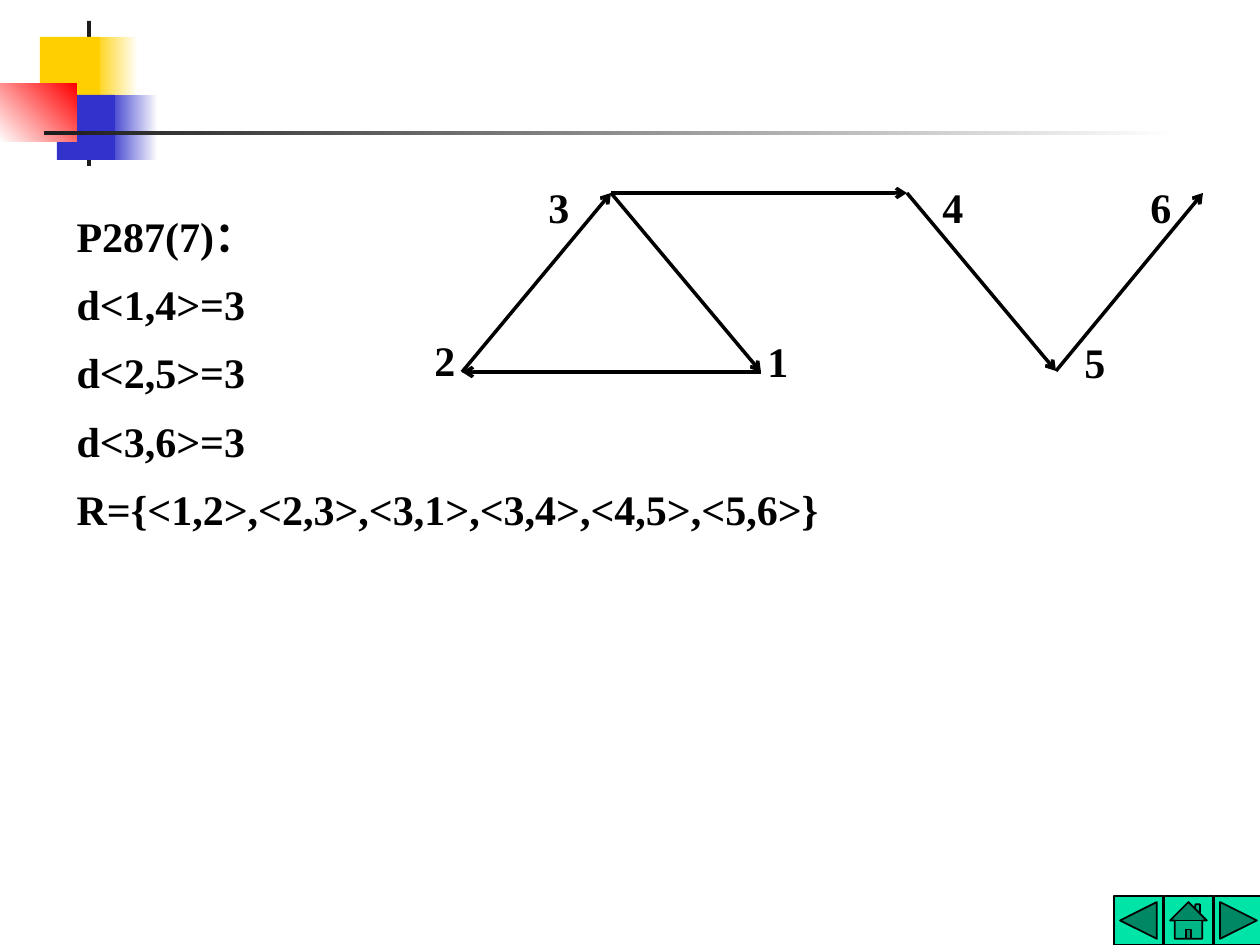
import pptx
import pptx.dml.color
import pptx.enum.shapes
import pptx.enum.text
import pptx.oxml.ns
import pptx.util
from lxml import etree

RGBColor = pptx.dml.color.RGBColor
Shape = pptx.enum.shapes.MSO_SHAPE
qn = pptx.oxml.ns.qn

BLACK = RGBColor(0x00, 0x00, 0x00)
WHITE = RGBColor(0xFF, 0xFF, 0xFF)
CHARCOAL = RGBColor(0x1C, 0x1C, 0x1C)
YELLOW = RGBColor(0xFF, 0xCF, 0x01)
BLUE = RGBColor(0x33, 0x33, 0xCC)
RED = RGBColor(0xFF, 0x00, 0x00)
GREEN = RGBColor(0x00, 0xE4, 0xA8)
FONT_NAME = "Times New Roman"

LINES = [
    "P287(7)：",
    "d<1,4>=3",
    "d<2,5>=3",
    "d<3,6>=3",
    "R={<1,2>,<2,3>,<3,1>,<3,4>,<4,5>,<5,6>}",
]
NODES = {
    1: (339, 197), 2: (40, 197), 3: (189, 18),
    4: (485, 18), 5: (634, 196), 6: (781, 18),
}
LABELS = {
    1: (333, 154), 2: (0, 153), 3: (114, 0),
    4: (508, 0), 5: (650, 155), 6: (716, 0),
}
EDGES = [(1, 2), (2, 3), (3, 1), (3, 4), (4, 5), (5, 6)]


def px(length):
    """Turn pixels into EMU."""
    return pptx.util.Emu(round(length * 914400 / 126))


def set_font(paragraph):
    """Apply the bold serif face used by all text."""
    paragraph.font.name = FONT_NAME
    paragraph.font.size = pptx.util.Pt(24)
    paragraph.font.bold = True
    paragraph.font.color.rgb = BLACK


def add_block(slide, box, start, end=None, angle=0):
    """Add a borderless rectangle, solid or fading from start to end."""
    block = slide.shapes.add_shape(Shape.RECTANGLE, *map(px, box))
    block.shadow.inherit = False
    block.line.fill.background()
    if end is None:
        block.fill.solid()
        block.fill.fore_color.rgb = start
        return
    block.fill.gradient()
    block.fill.gradient_angle = angle
    for stop, position, color in zip(block.fill.gradient_stops, (0, 1), (start, end)):
        stop.position = position
        stop.color.rgb = color


def add_decoration(slide, left, top):
    """Add the overlapping squares and the fading rule."""
    for x, y, width, height, *colors in [
        (93, 16, 45, 65, YELLOW, WHITE),
        (108, 74, 50, 65, BLUE, WHITE),
        (87, 0, 4, 145, CHARCOAL),
        (40, 16, 60, 65, YELLOW),
        (57, 74, 58, 65, BLUE),
        (0, 63, 77, 58, WHITE, RED, 45),
        (44, 110, 1134, 4, CHARCOAL, WHITE),
    ]:
        add_block(slide, (left + x, top + y, width, height), *colors)


def add_navigation(slide, left, top, size, pitch):
    """Add the row of back, home and forward buttons."""
    for index, kind in enumerate([
        Shape.ACTION_BUTTON_BACK_OR_PREVIOUS,
        Shape.ACTION_BUTTON_HOME,
        Shape.ACTION_BUTTON_FORWARD_OR_NEXT,
    ]):
        button = slide.shapes.add_shape(
            kind, px(left + index * pitch), px(top), px(size), px(size))
        button.shadow.inherit = False
        button.fill.solid()
        button.fill.fore_color.rgb = GREEN
        button.line.color.rgb = BLACK
        button.line.width = pptx.util.Pt(1)


def fill_body(slide, left, top, width, height):
    """Place the answer lines in the body placeholder."""
    body = slide.placeholders[1]
    body.left, body.top, body.width, body.height = map(px, (left, top, width, height))
    frame = body.text_frame
    frame.auto_size = pptx.enum.text.MSO_AUTO_SIZE.NONE
    frame.text = "\n".join(LINES)
    for index, paragraph in enumerate(frame.paragraphs):
        properties = paragraph._p.get_or_add_pPr()
        properties.set("marL", "0")
        properties.set("indent", "0")
        etree.SubElement(properties, qn("a:buNone"))
        paragraph.line_spacing = 1.3
        paragraph.space_before = pptx.util.Pt(1.6 if index else 0)
        set_font(paragraph)


def add_arrow(slide, start, end):
    """Add a black connector with an open arrowhead at its end."""
    arrow = slide.shapes.add_connector(
        pptx.enum.shapes.MSO_CONNECTOR.STRAIGHT, *map(px, (*start, *end)))
    arrow.line.color.rgb = BLACK
    arrow.line.width = pptx.util.Pt(2)
    etree.SubElement(arrow.line._get_or_add_ln(), qn("a:tailEnd"), type="arrow")
    etree.SubElement(arrow._element.spPr, qn("a:effectLst"))


def add_graph(slide, left, top):
    """Add the directed graph with its edges and node numbers."""
    points = {node: (left + x, top + y) for node, (x, y) in NODES.items()}
    for source, target in EDGES:
        add_arrow(slide, points[source], points[target])
    for node, (x, y) in LABELS.items():
        label = slide.shapes.add_textbox(px(left + x), px(top + y), px(45), px(63))
        label.text_frame.word_wrap = False
        label.text_frame.text = str(node)
        set_font(label.text_frame.paragraphs[0])


def main():
    """Build and save the slide."""
    presentation = pptx.Presentation()
    presentation.slide_width = px(1260)
    presentation.slide_height = px(945)
    slide = presentation.slides.add_slide(presentation.slide_layouts[1])
    title = slide.shapes.title._element
    title.getparent().remove(title)
    add_decoration(slide, 0, 21)
    add_navigation(slide, 1114, 896, 49, 50)
    fill_body(slide, 64, 189, 1140, 340)
    add_graph(slide, 422, 175)
    presentation.save("out.pptx")


if __name__ == "__main__":
    main()
